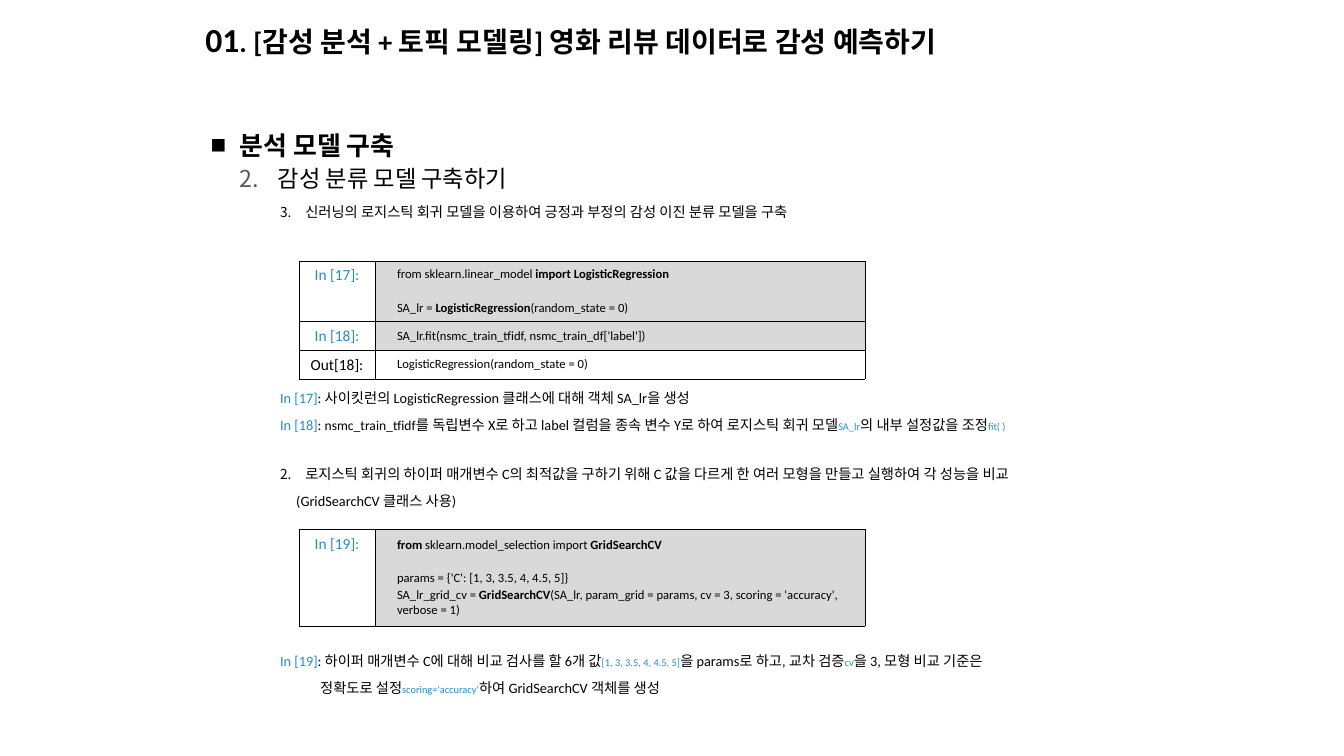
from dataclasses import dataclass

from lxml import etree
from pptx import Presentation
from pptx import util as u
from pptx.dml.color import RGBColor
from pptx.enum import text
from pptx.oxml import ns

BLACK, BLUE, GRAY, WHITE = "000000", "258BCD", "D9D9D9", "FFFFFF"
BULLET_GRAY = "595959"
BODY, SMALL, CODE, LABEL = 10.2, 7.4, 9, 11


@dataclass
class Run:
    text: str
    size: float = BODY
    color: str = BLACK
    bold: bool = False
    font: str = "Calibri"


@dataclass
class Bullet:
    number: int = 0  # zero means a square
    color: str = BLACK
    percent: int = 100


@dataclass
class Line:
    runs: list[Run]
    before: float = 5
    after: float = 3
    spacing: float = 0.9
    margin: float = 49.7
    indent: float = 0
    bullet: Bullet | None = None
    align: text.PP_ALIGN = text.PP_ALIGN.LEFT


@dataclass
class CodeRow:
    label: str
    height: float
    lines: list[Line]
    label_color: str = BLUE
    fill: str = GRAY


def rgb(value: str) -> RGBColor:
    return RGBColor.from_string(value)


def child(parent, tag: str, **attributes):
    return etree.SubElement(parent, ns.qn(tag), attributes)


def add_bullet(properties, bullet: Bullet) -> None:
    child(child(properties, "a:buClr"), "a:srgbClr", val=bullet.color)
    child(properties, "a:buSzPct", val=str(bullet.percent * 1000))
    child(properties, "a:buFont", typeface="Calibri" if bullet.number else "Arial")
    if bullet.number:
        child(properties, "a:buAutoNum", type="arabicPeriod", startAt=str(bullet.number))
    else:
        child(properties, "a:buChar", char="■")


def write_lines(frame, lines: list[Line]) -> None:
    for index, line in enumerate(lines):
        paragraph = frame.add_paragraph() if index else frame.paragraphs[0]
        paragraph.alignment = line.align
        paragraph.line_spacing = line.spacing
        paragraph.space_before = u.Pt(line.before if index else 0)
        paragraph.space_after = u.Pt(line.after)
        properties = paragraph._p.get_or_add_pPr()
        properties.set("marL", str(u.Pt(line.margin)))
        properties.set("indent", str(u.Pt(line.indent)))
        if line.bullet:
            add_bullet(properties, line.bullet)
        for part in line.runs:
            run = paragraph.add_run()
            run.text = part.text
            run.font.size = u.Pt(part.size)
            run.font.name = part.font
            run.font.bold = part.bold
            run.font.color.rgb = rgb(part.color)


def add_text(slide, left: float, top: float, width: float, height: float,
             lines: list[Line], anchor=text.MSO_ANCHOR.TOP) -> None:
    frame = slide.shapes.add_textbox(*map(u.Pt, (left, top, width, height))).text_frame
    frame.word_wrap = True
    frame.vertical_anchor = anchor
    write_lines(frame, lines)


def style_cell(cell, fill: str, anchor) -> None:
    cell.fill.solid()
    cell.fill.fore_color.rgb = rgb(fill)
    cell.vertical_anchor = anchor
    properties = cell._tc.get_or_add_tcPr()
    for index, side in enumerate(("a:lnL", "a:lnR", "a:lnT", "a:lnB")):
        border = etree.Element(ns.qn(side), w=str(u.Pt(0.25)))
        child(child(border, "a:solidFill"), "a:srgbClr", val=BLACK)
        properties.insert(index, border)


def add_code_table(slide, top: float, rows: list[CodeRow]) -> None:
    widths = (54, 350)
    height = sum(row.height for row in rows)
    table = slide.shapes.add_table(
        len(rows), 2, *map(u.Pt, (213.8, top, sum(widths), height))).table
    table.first_row = table.horz_banding = False
    for column, width in zip(table.columns, widths):
        column.width = u.Pt(width)
    for index, row in enumerate(rows):
        table.rows[index].height = u.Pt(row.height)
        label, code = table.rows[index].cells
        style_cell(label, WHITE, text.MSO_ANCHOR.TOP)
        style_cell(code, row.fill, text.MSO_ANCHOR.MIDDLE)
        write_lines(label.text_frame, [Line([Run(row.label, LABEL, row.label_color)], spacing=1,
                                            margin=0, align=text.PP_ALIGN.CENTER)])
        write_lines(code.text_frame, row.lines)


def code_line(*parts: str, gap: float = 0.5, bold_first: bool = False) -> Line:
    """Parts alternate between regular and bold."""
    runs = [Run(part, CODE, bold=(index % 2 == 1) != bold_first)
            for index, part in enumerate(parts)]
    return Line(runs, before=gap, after=0.5, spacing=1, margin=8.6)


def numbered(number: int, content: str, before: float = 5) -> Line:
    return Line([Run(content)], before=before, margin=67.7, indent=-18,
                bullet=Bullet(number, percent=96))


def note(content: str) -> Run:
    return Run(content, SMALL, BLUE)


def prompt(content: str) -> Run:
    return Run(content, color=BLUE)


BLANK_CODE_LINE = 12.5

TITLE = [Line([Run("01", 24, bold=True),
               Run(". [감성 분석 + 토픽 모델링] 영화 리뷰 데이터로 감성 예측하기", 20, bold=True)],
              after=0, margin=0)]

EXPLANATION = [
    Line([Run("분석 모델 구축", 18.5, bold=True, font="Arial")], after=0, spacing=1.4,
         margin=20.9, indent=-20.9, bullet=Bullet()),
    Line([Run("감성 분류 모델 구축하기", 16.6)], after=4, margin=48.2, indent=-27.4,
         bullet=Bullet(2, BULLET_GRAY)),
    numbered(1, "신러닝의 로지스틱 회귀 모델을 이용하여 긍정과 부정의 감성 이진 분류 모델을 구축"),
    Line([prompt("In [17]"),
          Run(": 사이킷런의 LogisticRegression 클래스에 대해 객체 SA_lr을 생성")], before=119),
    Line([prompt("In [18]"), Run(": "), Run("nsmc_train_tfidf", 9.7),
          Run("를 독립변수 X로 하고 label 컬럼을 종속 변수 Y로 하여 로지스틱 회귀 모델"),
          note("SA_lr"), Run("의 내부 설정값을 조정"), note("fit( )")]),
    numbered(2, "로지스틱 회귀의 하이퍼 매개변수 C의 최적값을 구하기 위해 C 값을 다르게 한 "
                "여러 모형을 만들고 실행하여 각 성능을 비교", before=21),
    Line([Run("(GridSearchCV 클래스 사용)")], margin=61.2),
    Line([prompt("In [19]"), Run(": 하이퍼 매개변수 C에 대해 비교 검사를 할 6개 값"),
          note("[1, 3, 3.5, 4, 4.5, 5]"), Run("을 params로 하고, 교차 검증"),
          note("cv"), Run("을 3, 모형 비교 기준은")], before=100.5),
    Line([Run("정확도로 설정"), note("scoring='accuracy'"),
          Run("하여 GridSearchCV 객체를 생성")], margin=78.3),
]

REGRESSION_ROWS = [
    CodeRow("In [17]:", 43.2, [
        code_line("from sklearn.linear_model ", "import LogisticRegression"),
        code_line("SA_lr = ", "LogisticRegression", "(random_state = 0)", gap=BLANK_CODE_LINE)]),
    CodeRow("In [18]:", 20.5, [code_line("SA_lr.fit(nsmc_train_tfidf, nsmc_train_df['label'])")]),
    CodeRow("Out[18]:", 20.5, [code_line("LogisticRegression(random_state = 0)")], BLACK, WHITE),
]

GRID_SEARCH_ROWS = [
    CodeRow("In [19]:", 69, [
        code_line("from", " sklearn.model_selection import ", "GridSearchCV", bold_first=True),
        code_line("params = {'C': [1, 3, 3.5, 4, 4.5, 5]}", gap=BLANK_CODE_LINE),
        code_line("SA_lr_grid_cv = ", "GridSearchCV",
                  "(SA_lr, param_grid = params, cv = 3, scoring = 'accuracy', verbose = 1)")]),
]


def main() -> None:
    presentation = Presentation()
    presentation.slide_width, presentation.slide_height = u.Pt(960), u.Pt(540)
    slide = presentation.slides.add_slide(presentation.slide_layouts[6])
    # Title and explanation
    add_text(slide, 139.7, 8, 684, 43, TITLE, text.MSO_ANCHOR.MIDDLE)
    add_text(slide, 143.3, 80, 694, 430.5, EXPLANATION)
    # Notebook cells
    add_code_table(slide, 186.5, REGRESSION_ROWS)
    add_code_table(slide, 378, GRID_SEARCH_ROWS)
    presentation.save("out.pptx")


if __name__ == "__main__":
    main()
